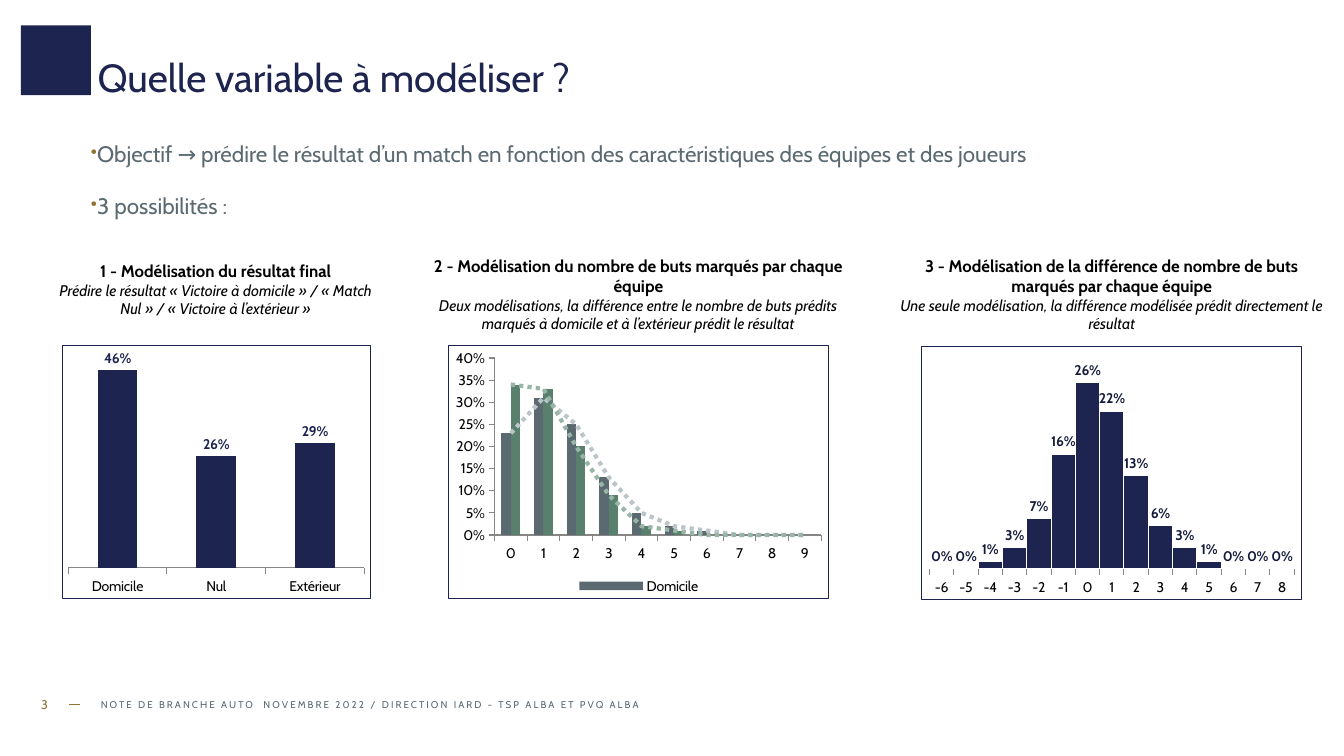
import pptx
import pptx.chart.data
import pptx.dml.color
import pptx.enum.chart
import pptx.enum.dml
import pptx.enum.shapes
import pptx.enum.text
import pptx.oxml
import pptx.oxml.ns
import pptx.util
from pptx.util import Cm

FONT = "Cabin"
COLOURS = {
    "navy": "1C244F", "dark navy": "151B3B", "gold": "8F7332", "slate": "5B6971",
    "green": "597F6D", "pale slate": "BBC4C8", "pale green": "97B6A8",
    "axis": "868686", "black": "000000", "white": "FFFFFF",
}
CHART_NS = pptx.oxml.ns.nsdecls("c", "a")

HOME_GOALS = [0.23, 0.31, 0.25, 0.13, 0.05, 0.02, 0.01, 0, 0, 0]
AWAY_GOALS = [0.34, 0.33, 0.2, 0.09, 0.02, 0.01, 0, 0, 0, 0]
GOAL_DIFFERENCES = [0, 0, 0.01, 0.03, 0.07, 0.16, 0.26, 0.22,
                    0.13, 0.06, 0.03, 0.01, 0, 0, 0]


def colour(name):
    return pptx.dml.color.RGBColor.from_string(COLOURS[name])


def style_font(font, size, colour_name, bold=False, italic=False):
    font.name = FONT
    font.size = pptx.util.Pt(size)
    font.color.rgb = colour(colour_name)
    font.bold = bold
    font.italic = italic


def add_span(para, text, size, colour_name, bold=False, italic=False):
    span = para.add_run()
    span.text = text
    style_font(span.font, size, colour_name, bold, italic)
    return span


def add_box(page, left, top, width, height, margins=False, middle=False):
    """Add an empty wrapping text box and return its text frame."""
    frame = page.shapes.add_textbox(Cm(left), Cm(top), Cm(width), Cm(height)).text_frame
    frame.word_wrap = True
    if not margins:
        frame.margin_left = frame.margin_right = 0
        frame.margin_top = frame.margin_bottom = 0
    if middle:
        frame.vertical_anchor = pptx.enum.text.MSO_ANCHOR.MIDDLE
    return frame


def add_title(page, text):
    square = page.shapes.add_shape(
        pptx.enum.shapes.MSO_SHAPE.RECTANGLE, Cm(0.53), Cm(0.64), Cm(1.76), Cm(1.76))
    square.shadow.inherit = False
    square.fill.solid()
    square.fill.fore_color.rgb = colour("navy")
    square.line.fill.background()
    para = add_box(page, 2.46, 1.47, 29.11, 1.63).paragraphs[0]
    para.line_spacing = 0.9
    add_span(para, text, 28, "navy")


def add_bullets(page, texts):
    frame = add_box(page, 2.29, 3.61, 29.11, 2.29)
    for index, text in enumerate(texts):
        para = frame.paragraphs[0] if index == 0 else frame.add_paragraph()
        para.line_spacing = 0.9
        para.space_after = pptx.util.Pt(20)
        add_span(para, text, 16, "slate")
        properties = para._p.get_or_add_pPr()
        properties.set("marL", "0")
        properties.set("indent", str(Cm(-0.79)))
        for bullet in (
            f'<a:buClr {CHART_NS}><a:srgbClr val="{COLOURS["gold"]}"/></a:buClr>',
            f'<a:buSzPct {CHART_NS} val="80000"/>',
            f'<a:buChar {CHART_NS} char="•"/>',
        ):
            properties.append(pptx.oxml.parse_xml(bullet))


def add_footer(page, number, text):
    dash = page.shapes.add_connector(
        pptx.enum.shapes.MSO_CONNECTOR.STRAIGHT, Cm(2.01), Cm(17.75), Cm(1.75), Cm(17.75))
    dash.line.color.rgb = colour("gold")
    dash.line.width = pptx.util.Pt(0.5)
    dash._element.spPr.append(pptx.oxml.parse_xml(f"<a:effectLst {CHART_NS}/>"))
    number_box = add_box(page, 1.04, 17.25, 1.5, 1.02, middle=True)
    add_span(number_box.paragraphs[0], number, 9, "gold")
    note_box = add_box(page, 2.54, 17.25, 26.29, 1.02, middle=True)
    span = add_span(note_box.paragraphs[0], text, 7, "slate")
    span.font._element.set("spc", "150")


def add_heading(page, left, top, width, height, title, detail):
    frame = add_box(page, left, top, width, height, margins=True)
    title_para, detail_para = frame.paragraphs[0], frame.add_paragraph()
    for para in (title_para, detail_para):
        para.alignment = pptx.enum.text.PP_ALIGN.CENTER
    add_span(title_para, title, 12, "black", bold=True)
    add_span(detail_para, detail, 11, "black", italic=True)


def set_frame_and_layout(chart, layout):
    """Outline the chart and place its plot at (x, y, width, height) fractions."""
    outline = pptx.oxml.parse_xml(
        f'<c:spPr {CHART_NS}><a:noFill/><a:ln w="9525"><a:solidFill>'
        f'<a:srgbClr val="{COLOURS["navy"]}"/></a:solidFill></a:ln></c:spPr>')
    chart.element.find(pptx.oxml.ns.qn("c:chart")).addnext(outline)
    area = chart.element.xpath(".//c:plotArea")[0]
    for old in area.xpath("./c:layout"):
        area.remove(old)
    sizes = "".join(f'<c:{tag} val="{value}"/>' for tag, value in zip("xywh", layout))
    area.insert(0, pptx.oxml.parse_xml(
        f'<c:layout {CHART_NS}><c:manualLayout><c:layoutTarget val="inner"/>'
        f'<c:xMode val="edge"/><c:yMode val="edge"/>{sizes}</c:manualLayout></c:layout>'))


def add_columns(page, place, categories, series, maximum, layout, gap=150):
    """Add a framed column chart; series is a list of (name, values, colour)."""
    data = pptx.chart.data.CategoryChartData(number_format="0%")
    data.categories = categories
    for name, values, _ in series:
        data.add_series(name, values)
    chart = page.shapes.add_chart(
        pptx.enum.chart.XL_CHART_TYPE.COLUMN_CLUSTERED, *map(Cm, place), data).chart
    chart.has_title = False
    chart.has_legend = False
    style_font(chart.font, 10, "black")
    set_frame_and_layout(chart, layout)
    for axis in (chart.category_axis, chart.value_axis):
        axis.has_major_gridlines = False
        axis.major_tick_mark = pptx.enum.chart.XL_TICK_MARK.OUTSIDE
        axis.format.line.color.rgb = colour("axis")
    chart.value_axis.minimum_scale = 0
    chart.value_axis.maximum_scale = maximum
    chart.value_axis.tick_labels.number_format = "0%"
    chart.value_axis.tick_labels.number_format_is_linked = False
    plot = chart.plots[0]
    plot.gap_width = gap
    plot.overlap = 0
    plot.vary_by_categories = False
    for columns, (_, _, colour_name) in zip(plot.series, series):
        columns.format.fill.solid()
        columns.format.fill.fore_color.rgb = colour(colour_name)
    return chart


def label_columns(chart, colour_name):
    """Print values above the columns in place of the value axis."""
    chart.value_axis.visible = False
    labels = chart.plots[0].series[0].data_labels
    labels.show_value = True
    labels.number_format = "0%"
    labels.number_format_is_linked = False
    labels.position = pptx.enum.chart.XL_LABEL_POSITION.OUTSIDE_END
    style_font(labels.font, 10, colour_name, bold=True)


def turn_into_lines(chart, first, colour_names):
    """Draw the series from index first on as dotted lines over the columns."""
    bars = chart.element.xpath(".//c:barChart")[0]
    lines = pptx.oxml.parse_xml(
        f'<c:lineChart {CHART_NS}><c:grouping val="standard"/><c:varyColors val="0"/></c:lineChart>')
    for series in bars.xpath("./c:ser")[first:]:
        for tag in ("c:spPr", "c:invertIfNegative"):
            for child in series.xpath(f"./{tag}"):
                series.remove(child)
        lines.append(series)
    lines.append(pptx.oxml.parse_xml(f'<c:marker {CHART_NS} val="1"/>'))
    for axis_id in bars.xpath("./c:axId"):
        lines.append(pptx.oxml.parse_xml(f'<c:axId {CHART_NS} val="{axis_id.get("val")}"/>'))
    bars.addnext(lines)
    for curve, colour_name in zip(chart.plots[1].series, colour_names):
        curve.smooth = False
        curve.marker.style = pptx.enum.chart.XL_MARKER_STYLE.NONE
        curve.format.line.color.rgb = colour(colour_name)
        curve.format.line.width = pptx.util.Pt(3)
        curve.format.line.dash_style = pptx.enum.dml.MSO_LINE.ROUND_DOT


def add_legend(chart, hidden):
    chart.has_legend = True
    chart.legend.position = pptx.enum.chart.XL_LEGEND_POSITION.BOTTOM
    chart.legend.include_in_layout = False
    position = chart.element.xpath(".//c:legendPos")[0]
    for index in reversed(hidden):
        position.addnext(pptx.oxml.parse_xml(
            f'<c:legendEntry {CHART_NS}><c:idx val="{index}"/><c:delete val="1"/></c:legendEntry>'))


def main():
    deck = pptx.Presentation()
    deck.slide_width, deck.slide_height = Cm(33.87), Cm(19.05)
    page = deck.slides.add_slide(deck.slide_layouts[6])
    add_title(page, "Quelle variable à modéliser ?")
    add_bullets(page, [
        "Objectif → prédire le résultat d’un match en fonction des caractéristiques "
        "des équipes et des joueurs",
        "3 possibilités :"])
    add_footer(page, "3", "NOTE DE BRANCHE AUTO  NOVEMBRE 2022 / DIRECTION IARD - TSP ALBA ET PVQ ALBA")

    add_heading(page, 1.12, 6.45, 8.64, 1.7, "1 - Modélisation du résultat final",
                "Prédire le résultat « Victoire à domicile » / « Match Nul » / « Victoire à l’extérieur »")
    results = add_columns(page, (1.55, 8.69, 7.8, 6.4), ["Domicile", "Nul", "Extérieur"],
                          [("Résultat", [0.46, 0.26, 0.29], "navy")], 0.5, (0.02, 0.03, 0.96, 0.85))
    label_columns(results, "navy")

    add_heading(page, 10.59, 6.32, 11, 2.24,
                "2 - Modélisation du nombre de buts marqués par chaque équipe",
                "Deux modélisations, la différence entre le nombre de buts prédits marqués "
                "à domicile et à l’extérieur prédit le résultat")
    goals = add_columns(page, (11.3, 8.69, 9.6, 6.4), [str(count) for count in range(10)],
                        [("Domicile", HOME_GOALS, "slate"), ("Extérieur", AWAY_GOALS, "green"),
                         (" ", HOME_GOALS, "pale slate"), (" ", AWAY_GOALS, "pale green")],
                        0.4, (0.12, 0.05, 0.86, 0.7))
    turn_into_lines(goals, 2, ["pale slate", "pale green"])
    add_legend(goals, [1, 2, 3])

    add_heading(page, 22.23, 6.32, 11.58, 2.31,
                "3 - Modélisation de la différence de nombre de buts marqués par chaque équipe",
                "Une seule modélisation, la différence modélisée prédit directement le résultat")
    differences = add_columns(page, (23.22, 8.71, 9.6, 6.4), [str(gap) for gap in range(-6, 9)],
                              [("Différence", GOAL_DIFFERENCES, "navy")],
                              0.3, (0.02, 0.03, 0.96, 0.85), gap=0)
    label_columns(differences, "dark navy")
    edge = differences.plots[0].series[0].format.line
    edge.color.rgb = colour("white")
    edge.width = pptx.util.Pt(0.75)
    deck.save("out.pptx")


if __name__ == "__main__":
    main()
